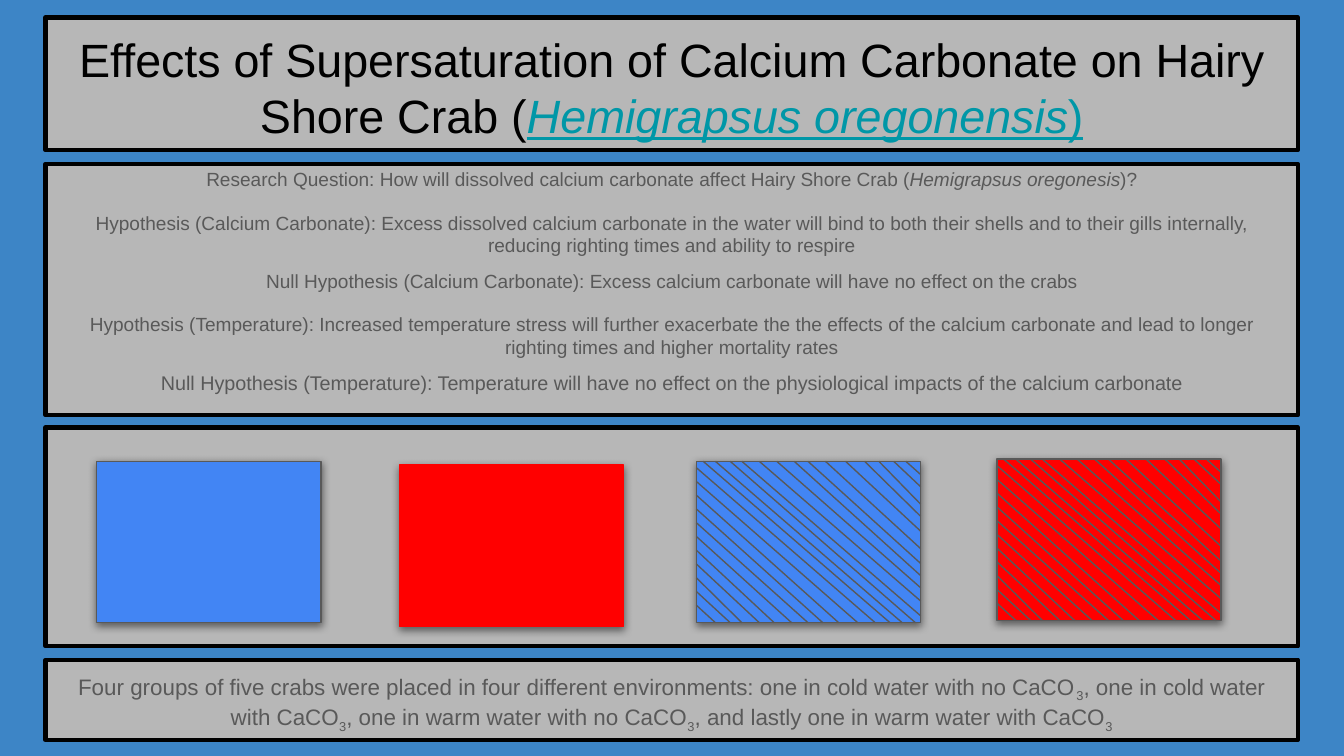
from lxml import etree
from pptx import Presentation
from pptx.dml.color import RGBColor
from pptx.enum.shapes import MSO_CONNECTOR, MSO_SHAPE
from pptx.enum.text import MSO_ANCHOR, MSO_AUTO_SIZE, PP_ALIGN
from pptx.oxml import parse_xml
from pptx.oxml.ns import qn
from pptx.util import Cm, Pt

RECT = MSO_SHAPE.RECTANGLE
STRAIGHT = MSO_CONNECTOR.STRAIGHT
TOP = MSO_ANCHOR.TOP
NO_FIT = MSO_AUTO_SIZE.NONE
CENTER = PP_ALIGN.CENTER

FONT = "Arial"
BACKGROUND, PANEL, BLACK, GREY = "3D85C6", "B7B7B7", "000000", "595959"
COLD, WARM, TEAL = "4285F4", "FF0000", "0097A7"

PANEL_LEFT, PANEL_WIDTH = 0.86, 23.67
TANK_WIDTH, TANK_HEIGHT = 4.24, 3.05

# Hatch lines start down the left side and then along the top;
# they end along the bottom and then up the right side.
LEFT_STARTS = [2.72 - 0.26 * i for i in range(11)]
TOP_STARTS = [0.13, 0.36, 0.64, 0.86, 1.19, 1.52, 1.85,
              2.11, 2.44, 2.82, 3.18, 3.45, 3.73, 3.96]
BOTTOM_ENDS = [0.36, 0.64, 0.86, 1.19, 1.47, 1.8, 2.11,
               2.39, 2.69, 3.05, 3.38, 3.66, 3.89, 4.14]
RIGHT_ENDS = [2.92, 2.64, 2.39, 2.16, 1.93, 1.65, 1.32, 1.04, 0.81, 0.48, 0.25]
HATCH_STARTS = [(0, y) for y in LEFT_STARTS] + [(x, 0) for x in TOP_STARTS]
HATCH_ENDS = ([(x, TANK_HEIGHT) for x in BOTTOM_ENDS]
              + [(TANK_WIDTH, y) for y in RIGHT_ENDS])

SHADOW = """<a:outerShdw
  xmlns:a="http://schemas.openxmlformats.org/drawingml/2006/main"
  blurRad="57150" dist="19050" dir="5400000" algn="bl" rotWithShape="0">
  <a:srgbClr val="000000"><a:alpha val="50000"/></a:srgbClr></a:outerShdw>"""

# (runs, size, line spacing, space before); every second run is italic
HYPOTHESES = [
    (["Research Question: How will dissolved calcium carbonate affect "
      "Hairy Shore Crab (", "Hemigrapsus oregonesis", ")?"], 10.2, 0.5, 0),
    (["Hypothesis (Calcium Carbonate): Excess dissolved calcium carbonate in "
      "the water will bind to both their shells and to their gills "
      "internally, reducing righting times and ability to respire"],
     10.2, 1, 12),
    (["Null Hypothesis (Calcium Carbonate): Excess calcium carbonate will "
      "have no effect on the crabs"], 10.2, 0.5, 12),
    (["Hypothesis (Temperature): Increased temperature stress will further "
      "exacerbate the the effects of the calcium carbonate and lead to "
      "longer righting times and higher mortality rates"], 10.2, 1, 12),
    (["Null Hypothesis (Temperature): Temperature will have no effect on the "
      "physiological impacts of the calcium carbonate"], 10.6, 0.5, 12),
]
GROUPS = [
    "Four groups of five crabs were placed in four different environments: "
    "one in cold water with no CaCO", "3", ", one in cold water with CaCO",
    "3", ", one in warm water with no CaCO", "3",
    ", and lastly one in warm water with CaCO", "3",
]

# left, top, fill, outline, hatched
TANKS = [
    (1.83, 8.72, COLD, GREY, False),
    (7.55, 8.79, WARM, WARM, False),
    (13.16, 8.72, COLD, GREY, True),
    (18.84, 8.68, WARM, GREY, True),
]


def rgb(value):
    return RGBColor.from_string(value)


class Poster:
    """Holds the style and the current slide."""

    def __init__(self, prs):
        self.s = prs.slides.add_slide(prs.slide_layouts[5])
        fill = self.s.background.fill
        fill.solid()
        fill.fore_color.rgb = rgb(BACKGROUND)

    def style_box(self, sp, fill, line, weight):
        sp.fill.solid()
        sp.fill.fore_color.rgb = rgb(fill)
        sp.line.color.rgb = rgb(line)
        sp.line.width = Pt(weight)

    def style_panel(self, sp):
        self.style_box(sp, PANEL, BLACK, 2.25)
        tf = sp.text_frame
        tf.word_wrap = True
        tf.auto_size = NO_FIT
        tf.vertical_anchor = TOP
        tf.margin_left = tf.margin_right = Cm(0.25)
        tf.margin_top = tf.margin_bottom = Cm(0.25)
        return tf

    def title(self, top, height):
        sp = self.s.shapes.title
        sp.left, sp.top = Cm(PANEL_LEFT), Cm(top)
        sp.width, sp.height = Cm(PANEL_WIDTH), Cm(height)
        return self.style_panel(sp)

    def panel(self, top, height):
        sp = self.s.shapes.add_shape(RECT, Cm(PANEL_LEFT), Cm(top),
                                     Cm(PANEL_WIDTH), Cm(height))
        sp.shadow.inherit = False
        return self.style_panel(sp)

    def runs(self, p, texts, size, color=GREY):
        p.alignment = CENTER
        for text in texts:
            r = p.add_run()
            r.text = text
            r.font.name = FONT
            r.font.size = Pt(size)
            r.font.color.rgb = rgb(color)
        return p.runs

    def tank(self, left, top, fill, line, hatched):
        sp = self.s.shapes.add_shape(RECT, Cm(left), Cm(top),
                                     Cm(TANK_WIDTH), Cm(TANK_HEIGHT))
        self.style_box(sp, fill, line, 0.75)
        sp.shadow.inherit = False
        sp._element.spPr.find(qn("a:effectLst")).append(parse_xml(SHADOW))
        if hatched:
            for (x1, y1), (x2, y2) in zip(HATCH_STARTS, HATCH_ENDS):
                self.line(left + x1, top + y1, left + x2, top + y2)

    def line(self, x1, y1, x2, y2):
        cn = self.s.shapes.add_connector(STRAIGHT, Cm(x1), Cm(y1),
                                         Cm(x2), Cm(y2))
        cn.line.color.rgb = rgb(GREY)
        cn.line.width = Pt(0.75)
        etree.SubElement(cn._element.spPr, qn("a:effectLst"))


def main():
    prs = Presentation()
    prs.slide_width, prs.slide_height = Cm(25.4), Cm(14.29)
    poster = Poster(prs)

    tf = poster.title(0.33, 2.51)
    runs = poster.runs(
        tf.paragraphs[0],
        ["Effects of Supersaturation of Calcium Carbonate on Hairy "
         "Shore Crab (", "Hemigrapsus oregonensis", ")"], 25, BLACK)
    for r in runs[1:]:
        r.font.color.rgb = rgb(TEAL)
        r.font.underline = True
    runs[1].font.italic = True

    tf = poster.panel(3.1, 4.75)
    for i, (texts, size, spacing, before) in enumerate(HYPOTHESES):
        p = tf.add_paragraph() if i else tf.paragraphs[0]
        p.line_spacing = spacing
        p.space_before = Pt(before)
        for r in poster.runs(p, texts, size)[1::2]:
            r.font.italic = True

    poster.panel(8.08, 4.14)
    for tank in TANKS:
        poster.tank(*tank)

    tf = poster.panel(12.47, 1.52)
    for r in poster.runs(tf.paragraphs[0], GROUPS, 12)[1::2]:
        r.font._element.set("baseline", "-25000")

    prs.save("out.pptx")


if __name__ == "__main__":
    main()
